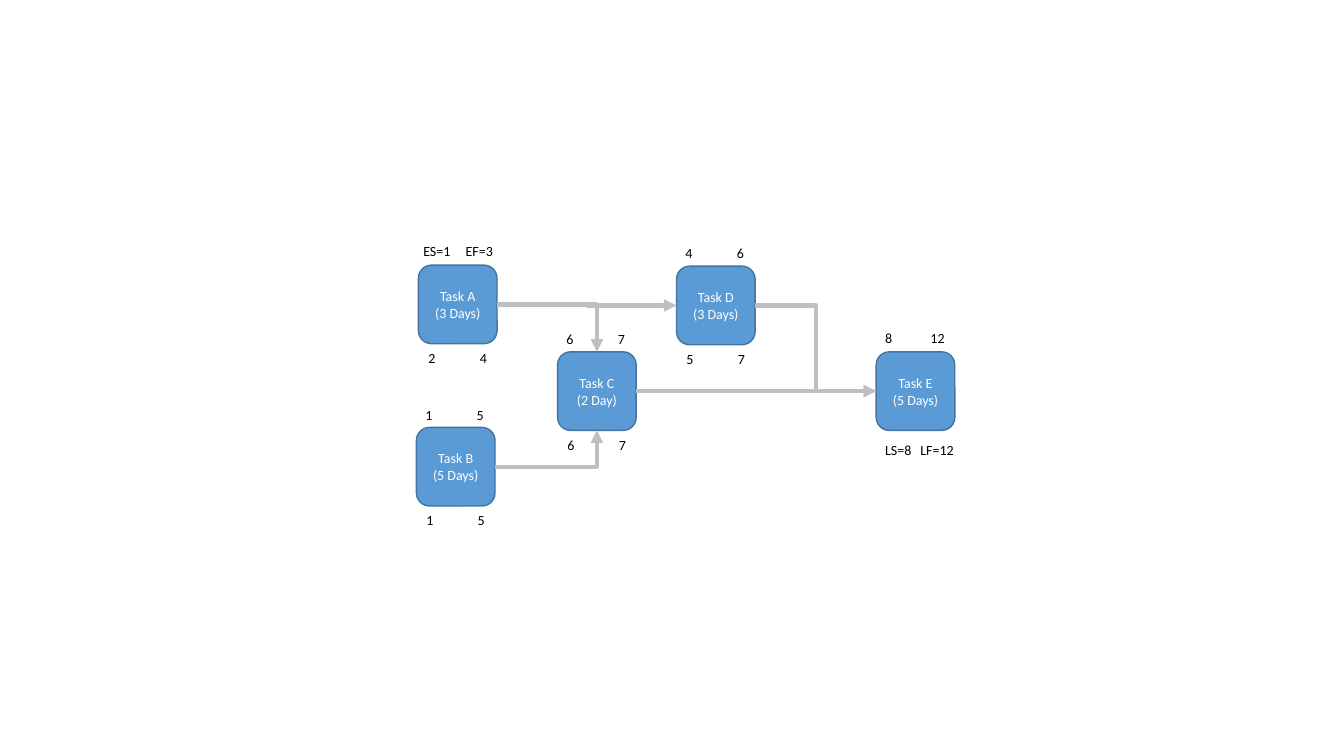
from dataclasses import dataclass
from lxml.etree import SubElement
from pptx import Presentation
from pptx.dml.color import RGBColor
from pptx.enum.shapes import MSO_CONNECTOR as LINE, MSO_SHAPE
from pptx.enum.text import MSO_ANCHOR, PP_ALIGN
from pptx.oxml.ns import qn
from pptx.util import Inches, Pt

BLUE = RGBColor(0x5B, 0x9B, 0xD5)
DARK_BLUE = RGBColor(0x43, 0x73, 0x9E)
GRAY = RGBColor(0xBF, 0xBF, 0xBF)
WHITE = RGBColor(0xFF, 0xFF, 0xFF)
BLACK = RGBColor(0, 0, 0)

BOX = 0.78
LABEL_W, LABEL_H = 0.99, 0.27
TOP, LEFT, BOTTOM, RIGHT = range(4)


@dataclass
class Dates:
    """A start and finish pair; dx and dy shift it from its usual place."""
    start: str
    finish: str
    tab: float = 0.51
    dx: float = 0
    dy: float = 0


@dataclass
class Task:
    name: str
    duration: str
    x: float
    y: float
    early: Dates
    late: Dates


TASKS = [
    Task("A", "3 Days", 4.15, 2.63,
         Dates("ES=1", "EF=3", 0.42, -0.04, -0.01), Dates("2", "4")),
    Task("B", "5 Days", 4.13, 4.24, Dates("1", "5"), Dates("1", "5")),
    Task("C", "2 Day", 5.53, 3.49, Dates("6", "7"), Dates("6", "7")),
    Task("D", "3 Days", 6.71, 2.64, Dates("4", "6"), Dates("5", "7")),
    Task("E", "5 Days", 8.69, 3.49,
         Dates("8", "12", 0.45, dy=-0.01),
         Dates("LS=8", "LF=12", 0.35, -0.01, 0.05)),
]

# from, to, side entered, connector type, preset geometry
LINKS = [
    ("A", "D", LEFT, LINE.ELBOW, "bentConnector3"),
    ("D", "E", LEFT, LINE.ELBOW, "bentConnector3"),
    ("C", "E", LEFT, LINE.STRAIGHT, "line"),
    ("A", "C", TOP, LINE.ELBOW, "bentConnector2"),
    ("B", "C", BOTTOM, LINE.ELBOW, "bentConnector2"),
]


def style_text(p, color):
    p.font.size = Pt(10)
    p.font.name = "Calibri"
    p.font.color.rgb = color


def add_dates(slide, dates, x, y):
    tb = slide.shapes.add_textbox(Inches(x + dates.dx), Inches(y + dates.dy),
                                  Inches(LABEL_W), Inches(LABEL_H))
    tf = tb.text_frame
    tf.word_wrap = True
    p = tf.paragraphs[0]
    p.text = f"{dates.start}\t{dates.finish}"
    style_text(p, BLACK)
    tabs = SubElement(p._p.get_or_add_pPr(), qn("a:tabLst"))
    SubElement(tabs, qn("a:tab"), pos=str(Inches(dates.tab)), algn="l")


def add_task(slide, task):
    """Draw the box with early dates above and late dates below."""
    sp = slide.shapes.add_shape(MSO_SHAPE.ROUNDED_RECTANGLE, Inches(task.x),
                                Inches(task.y), Inches(BOX), Inches(BOX))
    sp.shadow.inherit = False
    sp.fill.solid()
    sp.fill.fore_color.rgb = BLUE
    sp.line.color.rgb = DARK_BLUE
    sp.line.width = Pt(1)
    tf = sp.text_frame
    tf.margin_left = tf.margin_right = 0
    tf.vertical_anchor = MSO_ANCHOR.MIDDLE
    tf.text = f"Task {task.name}\n({task.duration})"
    for p in tf.paragraphs:
        p.alignment = PP_ALIGN.CENTER
        style_text(p, WHITE)
    add_dates(slide, task.early, task.x - 0.01, task.y - 0.26)
    add_dates(slide, task.late, task.x, task.y + BOX + 0.01)
    return sp


def add_link(slide, source, target, side, kind, preset):
    """Join the right of source to the given side of target."""
    cn = slide.shapes.add_connector(kind, 0, 0, 0, 0)
    cn.begin_connect(source, RIGHT)
    cn.end_connect(target, side)
    cn.line.color.rgb = GRAY
    cn.line.width = Pt(3)
    props = cn._element.spPr
    props.find(qn("a:prstGeom")).set("prst", preset)
    SubElement(cn.line._get_or_add_ln(), qn("a:tailEnd"), type="triangle")
    SubElement(props, qn("a:effectLst"))


def add_network(slide):
    boxes = {task.name: add_task(slide, task) for task in TASKS}
    for source, target, side, kind, preset in LINKS:
        add_link(slide, boxes[source], boxes[target], side, kind, preset)


def main():
    prs = Presentation()
    prs.slide_width, prs.slide_height = Inches(13.33), Inches(7.5)
    add_network(prs.slides.add_slide(prs.slide_layouts[6]))
    prs.save("out.pptx")


if __name__ == "__main__":
    main()
